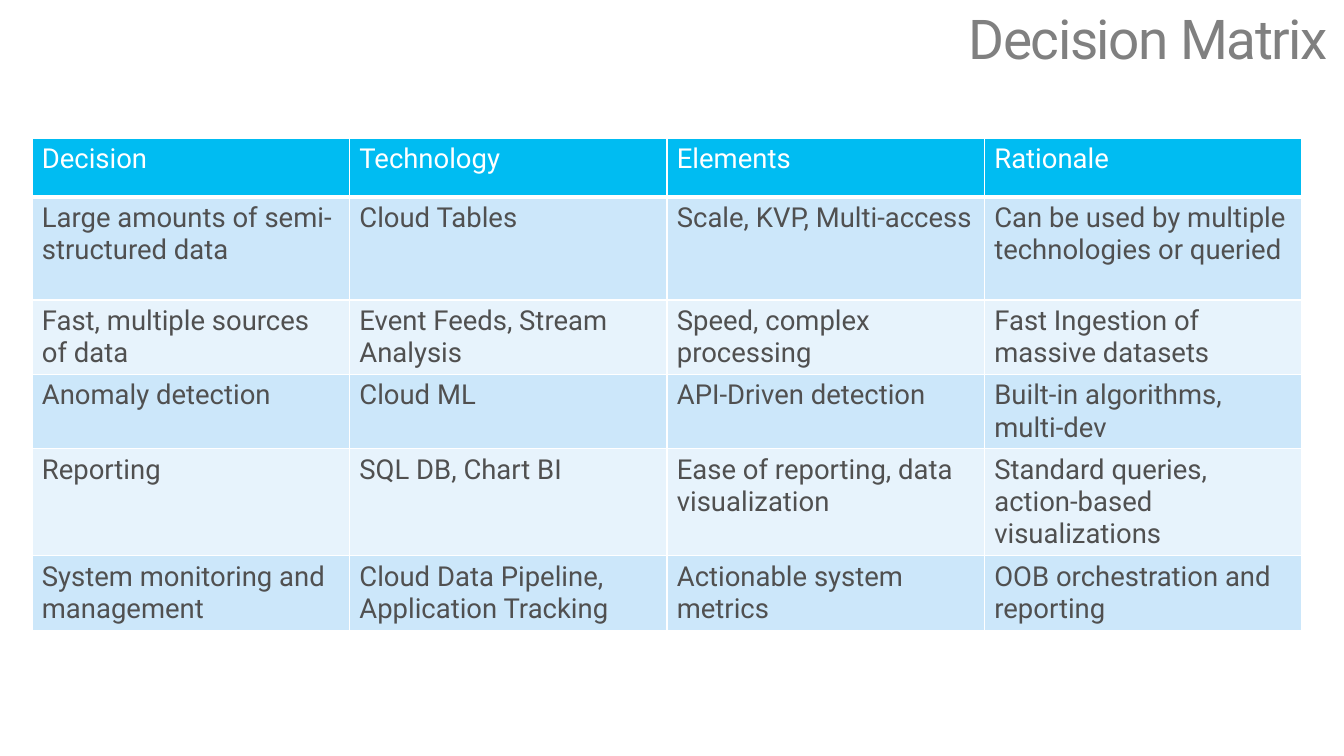
from lxml.etree import SubElement
from pptx import Presentation
from pptx.dml.color import RGBColor
from pptx.enum.text import MSO_ANCHOR, PP_ALIGN
from pptx.oxml.ns import qn
from pptx.util import Pt

EMU_PER_PX = 9255
WHITE = RGBColor(0xFF, 0xFF, 0xFF)
TITLE_GREY = RGBColor(0x80, 0x80, 0x80)
TEXT_GREY = RGBColor(0x50, 0x50, 0x50)
HEADER_BLUE = RGBColor(0x00, 0xBC, 0xF2)
BAND_BLUES = (RGBColor(0xCC, 0xE7, 0xFA), RGBColor(0xE7, 0xF3, 0xFC))

DECISIONS = [
    ("Decision", "Technology", "Elements", "Rationale"),
    ("Large amounts of semi-structured data", "Cloud Tables",
     "Scale, KVP, Multi-access", "Can be used by multiple technologies or queried"),
    ("Fast, multiple sources of data", "Event Feeds, Stream Analysis",
     "Speed, complex processing", "Fast Ingestion of massive datasets"),
    ("Anomaly detection", "Cloud ML",
     "API-Driven detection", "Built-in algorithms, multi-dev"),
    ("Reporting", "SQL DB, Chart BI",
     "Ease of reporting, data visualization",
     "Standard queries, action-based visualizations"),
    ("System monitoring and management", "Cloud Data Pipeline, Application Tracking",
     "Actionable system metrics", "OOB orchestration and reporting"),
]
ROW_HEIGHTS = (59, 103, 74, 74, 107, 74)


def px(length):
    """Turn whole pixels into EMU."""
    return length * EMU_PER_PX


class MatrixSlide:
    """Holds the slide and its text style."""

    font_name = "Roboto"

    def __init__(self, presentation):
        """Add a title-only slide."""
        self.slide = presentation.slides.add_slide(presentation.slide_layouts[5])

    def add_text(self, paragraph, text, size, color):
        """Add one styled run and return it."""
        run = paragraph.add_run()
        run.text = text
        run.font.name = self.font_name
        run.font.size = Pt(size)
        run.font.bold = False
        run.font.color.rgb = color
        return run

    def title(self, text, left, top, width, height):
        """Place the heading in the title placeholder."""
        heading = self.slide.shapes.title
        heading.left, heading.top = px(left), px(top)
        heading.width, heading.height = px(width), px(height)
        frame = heading.text_frame
        frame.word_wrap = True
        frame.vertical_anchor = MSO_ANCHOR.MIDDLE
        frame.margin_left = frame.margin_right = px(16)
        frame.margin_top = frame.margin_bottom = px(10)
        paragraph = frame.paragraphs[0]
        paragraph.alignment = PP_ALIGN.RIGHT
        paragraph.line_spacing = 0.9
        run = self.add_text(paragraph, text, 40, TITLE_GREY)
        run.font._element.set("spc", "-100")

    def borders(self, cell, bottom_width):
        """Draw white cell borders with a chosen bottom width."""
        properties = cell._tc.get_or_add_tcPr()
        for side in "LRTB":
            width = bottom_width if side == "B" else 1
            line = SubElement(properties, qn(f"a:ln{side}"), w=str(Pt(width)))
            fill = SubElement(line, qn("a:solidFill"))
            SubElement(fill, qn("a:srgbClr"), val=str(WHITE))

    def table(self, rows, heights, left, top, width):
        """Add a table with a header and alternating bands."""
        matrix = self.slide.shapes.add_table(
            len(rows), len(rows[0]), px(left), px(top), px(width), px(sum(heights))
        ).table
        matrix.horz_banding = False
        for index, (entries, height) in enumerate(zip(rows, heights)):
            is_header = index == 0
            matrix.rows[index].height = px(height)
            for column, entry in enumerate(entries):
                cell = matrix.cell(index, column)
                self.borders(cell, 3 if is_header else 1)
                cell.fill.solid()
                cell.fill.fore_color.rgb = HEADER_BLUE if is_header else BAND_BLUES[(index - 1) % 2]
                self.add_text(cell.text_frame.paragraphs[0], entry, 20,
                              WHITE if is_header else TEXT_GREY)


def main():
    """Build and save the decision matrix."""
    presentation = Presentation()
    presentation.slide_width, presentation.slide_height = px(1344), px(756)
    matrix_slide = MatrixSlide(presentation)
    matrix_slide.title("Decision Matrix", 0, 0, 1344, 84)
    matrix_slide.table(DECISIONS, ROW_HEIGHTS, 32, 138, 1270)
    presentation.save("out.pptx")


if __name__ == "__main__":
    main()
